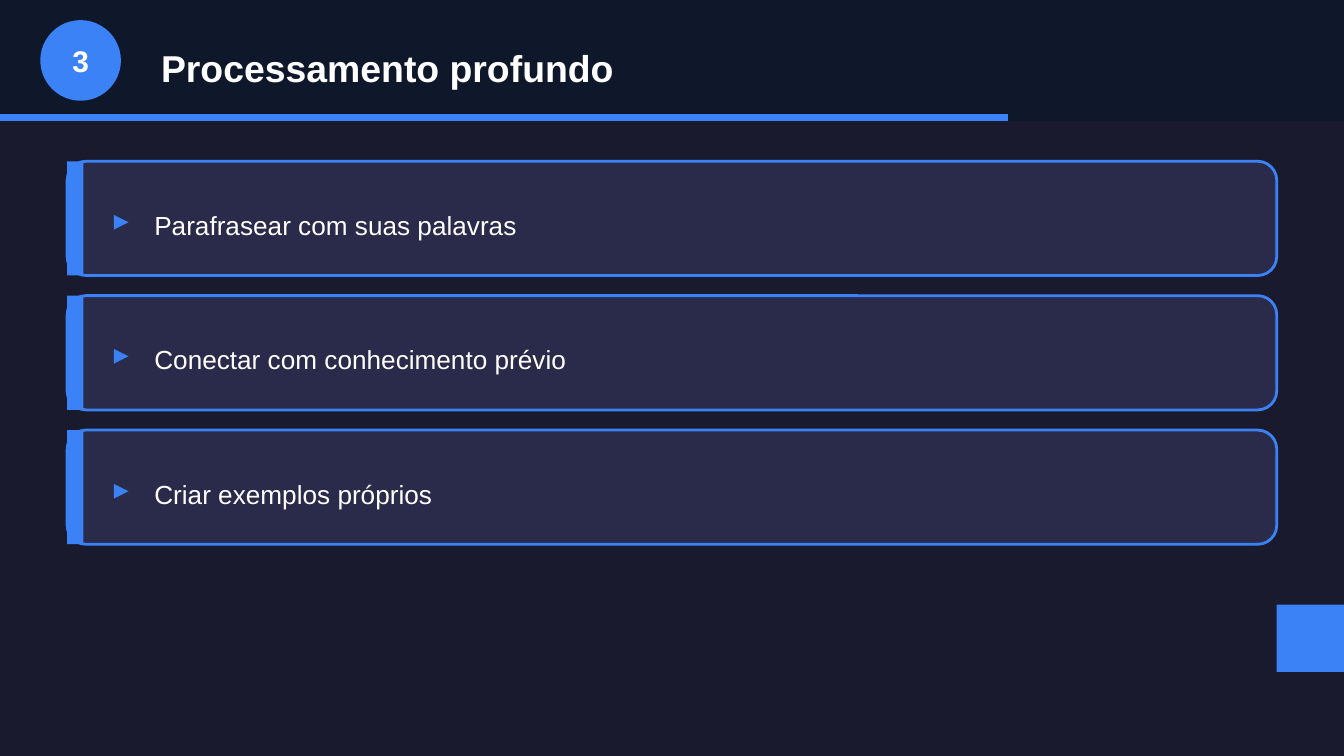
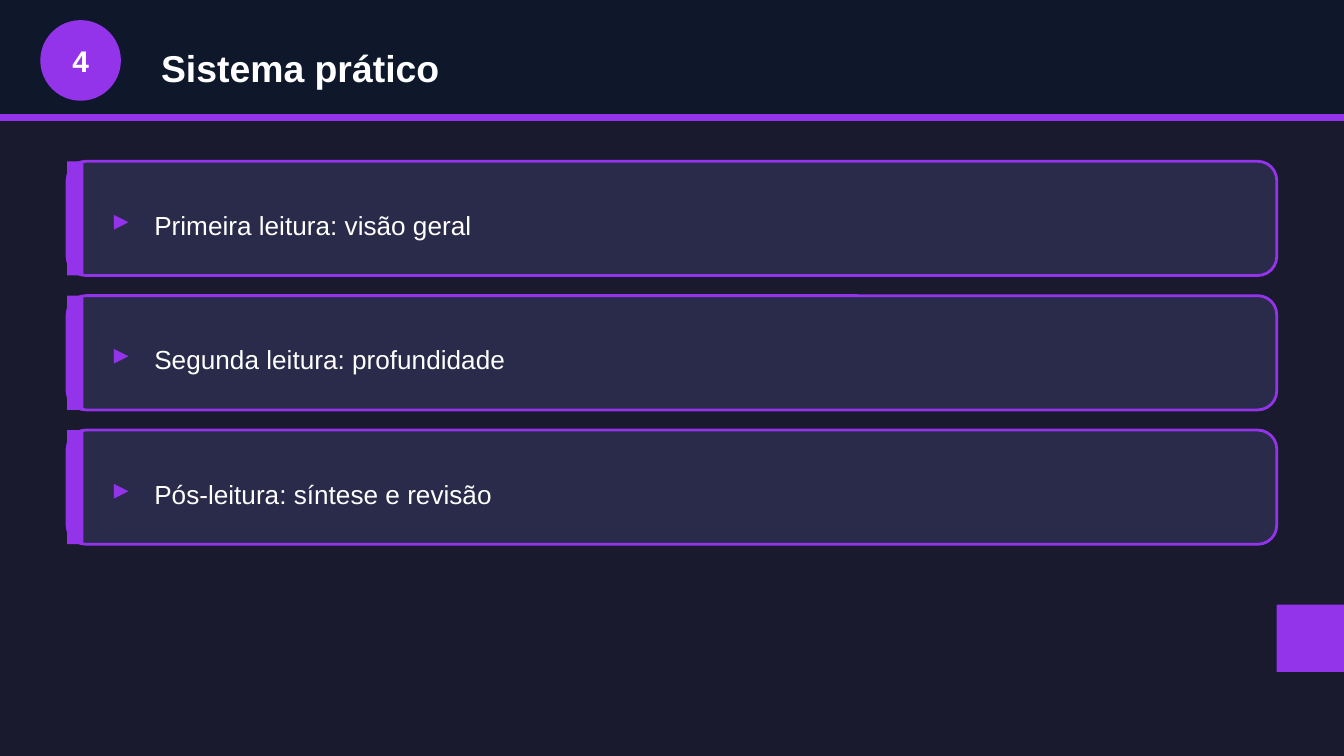
import dataclasses

import pptx
import pptx.dml.color
import pptx.enum.shapes
import pptx.enum.text
import pptx.shapes.autoshape
import pptx.slide
import pptx.util

COLORS = {
    "background": "1A1A2E",
    "header": "0F172A",
    "card": "2A2A4A",
    "text": "FFFFFF",
    "blue": "3B82F6",
    "purple": "9333EA",
}
FONT = "Arial"
CELL = pptx.util.Inches(0.05)
COLUMNS, ROWS = 200, 112.5
STEP_COUNT = 4
CARD_TOP, CARD_PITCH = 24, 20
SHAPES = pptx.enum.shapes.MSO_SHAPE
ALIGN = pptx.enum.text.PP_ALIGN


@dataclasses.dataclass(frozen=True)
class Box:
    column: float
    row: float
    columns: float
    rows: float

    def down(self, rows: float) -> "Box":
        return dataclasses.replace(self, row=self.row + rows)

    def lengths(self) -> list[int]:
        return [round(cells * CELL) for cells in dataclasses.astuple(self)]


@dataclasses.dataclass(frozen=True)
class Step:
    number: int
    title: str
    accent: str
    points: tuple[str, ...]


HEADER = Box(0, 0, COLUMNS, 18)
BADGE = Box(6, 3, 12, 12)
BADGE_NUMBER = Box(6, 5, 12, 8)
TITLE = Box(22, 5, 170, 10)
CORNER = Box(190, 90, 10, 10)
CARD = Box(10, CARD_TOP, 180, 17)
CARD_EDGE = Box(10, CARD_TOP, 2.4, 17)
CARD_MARKER = Box(15, CARD_TOP + 5, 6, 7)
CARD_TEXT = Box(21, CARD_TOP + 5, 164, 9)

STEPS = (
    Step(3, "Processamento profundo", "blue", (
        "Parafrasear com suas palavras",
        "Conectar com conhecimento prévio",
        "Criar exemplos próprios",
    )),
    Step(4, "Sistema prático", "purple", (
        "Primeira leitura: visão geral",
        "Segunda leitura: profundidade",
        "Pós-leitura: síntese e revisão",
    )),
)


def rgb(color: str) -> pptx.dml.color.RGBColor:
    return pptx.dml.color.RGBColor.from_string(COLORS[color])


def add_shape(
    slide: pptx.slide.Slide,
    box: Box,
    fill: str,
    kind: SHAPES = SHAPES.RECTANGLE,
    line: str | None = None,
) -> pptx.shapes.autoshape.Shape:
    shape = slide.shapes.add_shape(kind, *box.lengths())
    shape.shadow.inherit = False
    shape.fill.solid()
    shape.fill.fore_color.rgb = rgb(fill)
    if line:
        shape.line.color.rgb = rgb(line)
        shape.line.width = pptx.util.Pt(1.5)
    else:
        shape.line.fill.background()
    return shape


def add_text(
    slide: pptx.slide.Slide,
    box: Box,
    text: str,
    *,
    size: int,
    color: str = "text",
    bold: bool = False,
    align: ALIGN = ALIGN.LEFT,
) -> None:
    frame = slide.shapes.add_textbox(*box.lengths()).text_frame
    frame.word_wrap = True
    frame.vertical_anchor = pptx.enum.text.MSO_ANCHOR.MIDDLE
    paragraph = frame.paragraphs[0]
    paragraph.alignment = align
    run = paragraph.add_run()
    run.text = text
    run.font.name = FONT
    run.font.size = pptx.util.Pt(size)
    run.font.bold = bold
    run.font.color.rgb = rgb(color)


def add_header(slide: pptx.slide.Slide, step: Step) -> None:
    progress = Box(0, 17, COLUMNS * step.number / STEP_COUNT, 1)
    add_shape(slide, HEADER, "header")
    add_shape(slide, progress, step.accent)
    add_shape(slide, BADGE, step.accent, SHAPES.OVAL)
    add_text(slide, BADGE_NUMBER, str(step.number), size=16, bold=True, align=ALIGN.CENTER)
    add_text(slide, TITLE, step.title, size=20, bold=True)


def add_card(slide: pptx.slide.Slide, index: int, point: str, accent: str) -> None:
    offset = index * CARD_PITCH
    add_shape(slide, CARD.down(offset), "card", SHAPES.ROUNDED_RECTANGLE, accent)
    add_shape(slide, CARD_EDGE.down(offset), accent)
    add_text(slide, CARD_MARKER.down(offset), "▸", size=16, color=accent, bold=True)
    add_text(slide, CARD_TEXT.down(offset), point, size=14)


def add_step_slide(presentation: pptx.presentation.Presentation, step: Step) -> None:
    slide = presentation.slides.add_slide(presentation.slide_layouts[6])
    slide.background.fill.solid()
    slide.background.fill.fore_color.rgb = rgb("background")
    add_header(slide, step)
    for index, point in enumerate(step.points):
        add_card(slide, index, point, step.accent)
    add_shape(slide, CORNER, step.accent)


def main() -> None:
    presentation = pptx.Presentation()
    presentation.slide_width = round(COLUMNS * CELL)
    presentation.slide_height = round(ROWS * CELL)
    for step in STEPS:
        add_step_slide(presentation, step)
    presentation.save("out.pptx")


if __name__ == "__main__":
    main()
